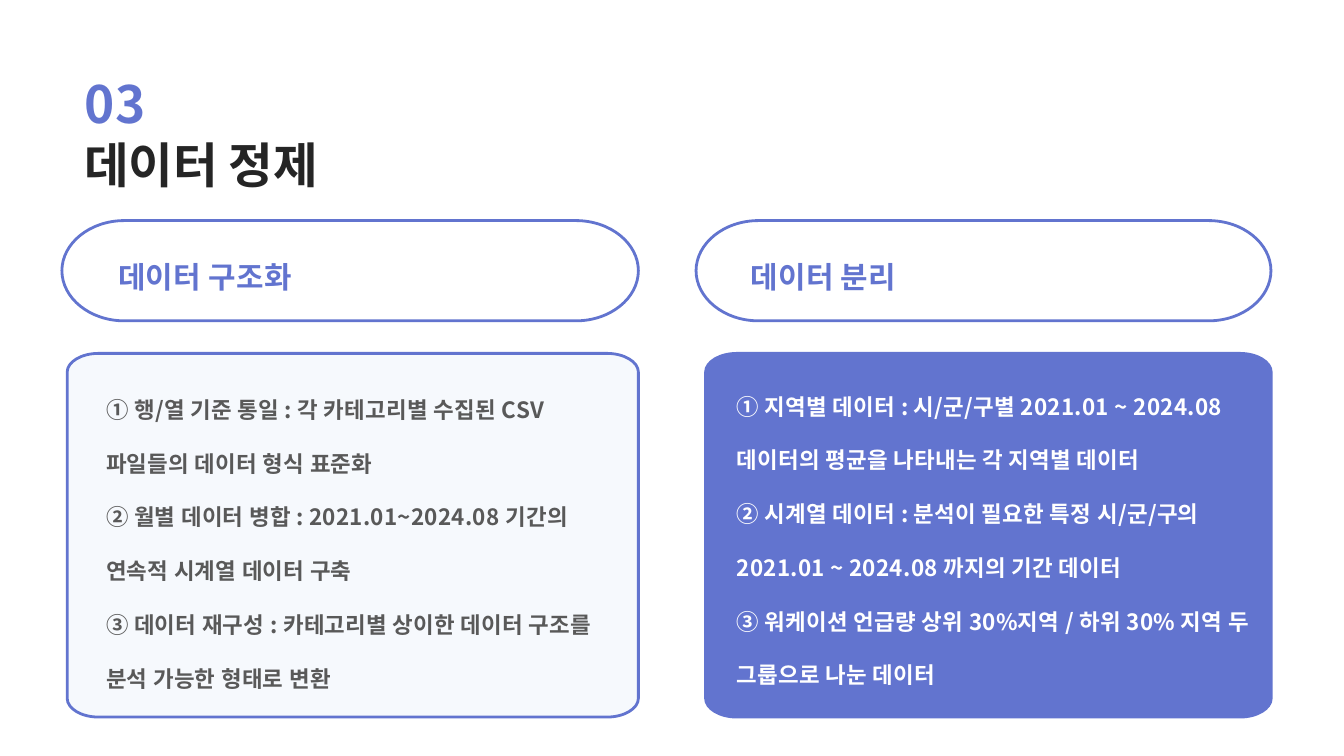
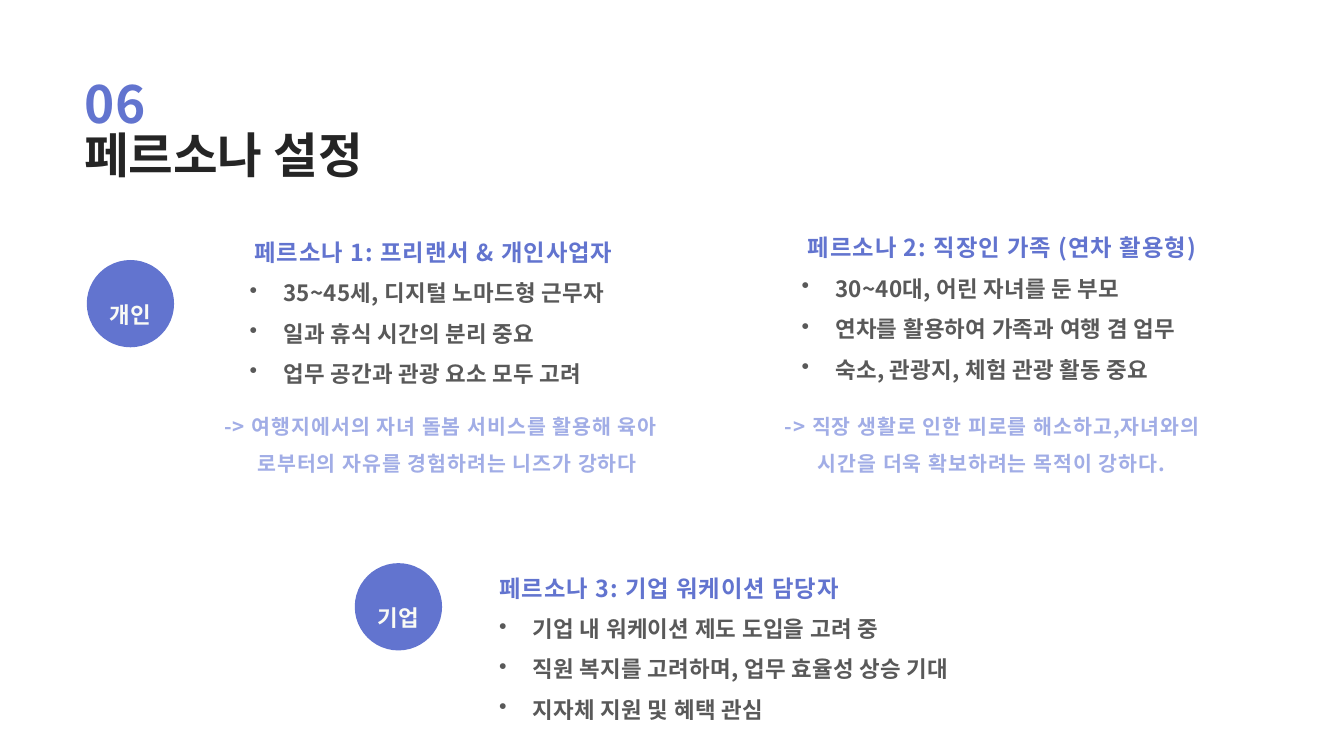
"""Build the data refinement and persona slides."""
from dataclasses import dataclass
from typing import Optional, Union

from lxml import etree
from pptx import Presentation
from pptx import slide as sl
from pptx import util as u
from pptx.dml import color as dml
from pptx.enum import shapes, text
from pptx.oxml import ns
from pptx.shapes import autoshape as auto

FONT = "Noto Sans CJK KR"
COLORS = {
    "accent": "6274CF",
    "accent_light": "A1ADE6",
    "panel": "F6F9FD",
    "title": "252525",
    "body": "595959",
    "white": "FFFFFF",
    "badge_text": "F9FAF5",
}


@dataclass(frozen=True)
class Style:
    size: int
    color: str
    tracking: float = 0
    line_spacing: Union[float, u.Pt] = 1.5


@dataclass(frozen=True)
class Line:
    content: str
    style: Style
    indent: float = 0
    bullet: bool = False
    centered: bool = False


@dataclass(frozen=True)
class Box:
    left: float
    top: float
    width: float
    height: float


@dataclass(frozen=True)
class Topic:
    heading: str
    points: tuple[str, ...]
    pill: Box
    heading_box: Box
    panel: Box
    points_box: Box
    fill: str
    text_color: str


@dataclass(frozen=True)
class Persona:
    heading: str
    traits: tuple[str, ...]
    box: Box
    heading_indent: float = 0


@dataclass(frozen=True)
class Need:
    lines: tuple[str, str]
    box: Box


@dataclass(frozen=True)
class Badge:
    label: str
    left: float
    top: float


NUMBER = Style(55, "accent", 1.3, u.Pt(110))
TOPIC_HEADING = Style(32, "accent", 0.3, u.Pt(64))
PERSONA_HEADING = Style(25, "accent", 1.1)
TRAIT = Style(24, "body", 0.3)
NEED = Style(22, "accent_light", 1.1)
BADGE = Style(24, "badge_text", 1.1, u.Pt(70))

BULLET_INDENT = 1.27
NEED_INDENT = 1.25
BADGE_SIZE = 3.3
BADGE_LABEL_WIDTH = 5.72
CURVE_PULL = 0.55
PILL_TOP, PILL_HEIGHT, PILL_CORNER = 8.34, 3.79, (2.36, 1.9)
PANEL_TOP, PANEL_HEIGHT, PANEL_CORNER = 13.36, 13.75, (1.19, 0.71)

TOPICS = (
    Topic(
        "데이터 구조화",
        (
            "① 행/열 기준 통일 : 각 카테고리별 수집된 CSV 파일들의 데이터 형식 표준화",
            "② 월별 데이터 병합 : 2021.01~2024.08 기간의 연속적 시계열 데이터 구축",
            "③ 데이터 재구성 : 카테고리별 상이한 데이터 구조를 분석 가능한 형태로 변환",
        ),
        Box(2.34, PILL_TOP, 21.79, PILL_HEIGHT),
        Box(4.47, 8.89, 16.43, 2.03),
        Box(2.54, PANEL_TOP, 21.59, PANEL_HEIGHT),
        Box(4.01, 13.95, 19.74, 12.32),
        "panel",
        "body",
    ),
    Topic(
        "데이터 분리",
        (
            "① 지역별 데이터 : 시/군/구별 2021.01 ~ 2024.08 데이터의 평균을 나타내는 각 지역별 데이터",
            "② 시계열 데이터 : 분석이 필요한 특정 시/군/구의 2021.01 ~ 2024.08 까지의 기간 데이터",
            "③ 워케이션 언급량 상위 30%지역 / 하위 30% 지역 두 그룹으로 나눈 데이터",
        ),
        Box(26.31, PILL_TOP, 21.73, PILL_HEIGHT),
        Box(28.37, 8.89, 16.43, 2.03),
        Box(26.67, PANEL_TOP, 21.38, PANEL_HEIGHT),
        Box(27.85, 13.83, 19.43, 12.32),
        "accent",
        "white",
    ),
)

PERSONAS = (
    Persona(
        "페르소나 1: 프리랜서 & 개인사업자",
        (
            "35~45세, 디지털 노마드형 근무자",
            "일과 휴식 시간의 분리 중요",
            "업무 공간과 관광 요소 모두 고려",
        ),
        Box(9.19, 8.34, 16.76, 7.32),
        0.18,
    ),
    Persona(
        "페르소나 2: 직장인 가족 (연차 활용형)",
        (
            "30~40대, 어린 자녀를 둔 부모",
            "연차를 활용하여 가족과 여행 겸 업무",
            "숙소, 관광지, 체험 관광 활동 중요",
        ),
        Box(30.05, 8.18, 18.42, 6.53),
        0.23,
    ),
    Persona(
        "페르소나 3: 기업 워케이션 담당자",
        (
            "기업 내 워케이션 제도 도입을 고려 중",
            "직원 복지를 고려하며, 업무 효율성 상승 기대",
            "지자체 지원 및 혜택 관심",
        ),
        Box(18.62, 21.04, 18.62, 6.48),
    ),
)

NEEDS = (
    Need(
        ("-> 여행지에서의 자녀 돌봄 서비스를 활용해 육아", "로부터의 자유를 경험하려는 니즈가 강하다"),
        Box(8.23, 15.06, 18.03, 3.07),
    ),
    Need(
        ("-> 직장 생활로 인한 피로를 해소하고,자녀와의", "시간을 더욱 확보하려는 목적이 강하다."),
        Box(29.41, 15.06, 17.78, 3.07),
    ),
)

BADGES = (Badge("개인", 3.28, 9.83), Badge("기업", 13.41, 21.29))


def rgb(name: str) -> dml.RGBColor:
    return dml.RGBColor.from_string(COLORS[name])


def add_text(slide: sl.Slide, box: Box, lines: list[Line], inset: bool = False) -> None:
    shape = slide.shapes.add_textbox(
        u.Cm(box.left), u.Cm(box.top), u.Cm(box.width), u.Cm(box.height)
    )
    frame = shape.text_frame
    frame.word_wrap = True
    frame.auto_size = text.MSO_AUTO_SIZE.SHAPE_TO_FIT_TEXT
    if not inset:
        frame.margin_left = frame.margin_right = 0
        frame.margin_top = frame.margin_bottom = 0
    for index, line in enumerate(lines):
        paragraph = frame.add_paragraph() if index else frame.paragraphs[0]
        paragraph.line_spacing = line.style.line_spacing
        if line.centered:
            paragraph.alignment = text.PP_ALIGN.CENTER
        properties = paragraph._p.get_or_add_pPr()
        if line.indent:
            properties.set("marL", str(u.Cm(line.indent)))
        if line.bullet:
            properties.set("indent", str(-u.Cm(line.indent)))
            etree.SubElement(properties, ns.qn("a:buChar"), char="•")
        run = paragraph.add_run()
        run.text = line.content
        run.font.size = u.Pt(line.style.size)
        run.font.bold = True
        run.font.color.rgb = rgb(line.style.color)
        run.font.name = FONT
        run._r.get_or_add_rPr().set("spc", str(round(line.style.tracking * 100)))


def paint(shape: auto.Shape, fill: Optional[str], outline: Optional[str]) -> None:
    shape.shadow.inherit = False
    if fill:
        shape.fill.solid()
        shape.fill.fore_color.rgb = rgb(fill)
    else:
        shape.fill.background()
    if outline:
        shape.line.color.rgb = rgb(outline)
        shape.line.width = u.Pt(3)
    else:
        shape.line.fill.background()


def curve_corners(shape: auto.Shape) -> None:
    width, height = shape.width, shape.height
    corners = ((width, height), (0, height), (0, 0), (width, 0))
    cuts = list(shape.element.iter(ns.qn("a:lnTo")))[::2]
    for cut, (corner_x, corner_y) in zip(cuts, corners):
        start, end = cut.getprevious()[-1], cut[-1]
        curve = etree.Element(ns.qn("a:cubicBezTo"))
        for point in (start, end):
            x, y = int(point.get("x")), int(point.get("y"))
            control = etree.SubElement(curve, ns.qn("a:pt"))
            control.set("x", str(round(x + CURVE_PULL * (corner_x - x))))
            control.set("y", str(round(y + CURVE_PULL * (corner_y - y))))
        cut.getparent().replace(cut, curve)
        curve.append(end)


def add_rounded(
    slide: sl.Slide, box: Box, corner: tuple[float, float], fill: Optional[str] = None
) -> None:
    radius_x, radius_y = corner
    left, top = box.left, box.top
    right, bottom = left + box.width, top + box.height
    outline = (
        (right, bottom - radius_y), (right - radius_x, bottom),
        (left + radius_x, bottom), (left, bottom - radius_y),
        (left, top + radius_y), (left + radius_x, top),
        (right - radius_x, top), (right, top + radius_y),
    )
    points = [(u.Cm(x), u.Cm(y)) for x, y in outline]
    builder = slide.shapes.build_freeform(*points[0])
    builder.add_line_segments(points[1:], close=True)
    shape = builder.convert_to_shape()
    curve_corners(shape)
    paint(shape, fill, "accent")


def add_title(
    slide: sl.Slide, number: str, title: str, line_spacing: Union[float, u.Pt]
) -> None:
    style = Style(52, "title", line_spacing=line_spacing)
    add_text(slide, Box(3.18, 1.17, 3.89, 3.48), [Line(number, NUMBER)])
    add_text(slide, Box(3.18, 3.63, 32.89, 3.3), [Line(title, style)])


def add_topic(slide: sl.Slide, topic: Topic) -> None:
    style = Style(24, topic.text_color, 0.3, 2.0)
    add_rounded(slide, topic.panel, PANEL_CORNER, topic.fill)
    add_rounded(slide, topic.pill, PILL_CORNER)
    add_text(slide, topic.heading_box, [Line(topic.heading, TOPIC_HEADING)])
    add_text(slide, topic.points_box, [Line(point, style) for point in topic.points])


def add_persona(slide: sl.Slide, persona: Persona) -> None:
    heading = Line(persona.heading, PERSONA_HEADING, persona.heading_indent)
    traits = [Line(trait, TRAIT, BULLET_INDENT, bullet=True) for trait in persona.traits]
    add_text(slide, persona.box, [heading, *traits], inset=True)


def add_need(slide: sl.Slide, need: Need) -> None:
    first, second = need.lines
    lines = [Line(first, NEED), Line(second, NEED, NEED_INDENT)]
    add_text(slide, need.box, lines, inset=True)


def add_badge(slide: sl.Slide, badge: Badge) -> None:
    size = u.Cm(BADGE_SIZE)
    circle = slide.shapes.add_shape(
        shapes.MSO_SHAPE.OVAL, u.Cm(badge.left), u.Cm(badge.top), size, size
    )
    paint(circle, "accent", None)
    label_left = badge.left + (BADGE_SIZE - BADGE_LABEL_WIDTH) / 2
    label_box = Box(label_left, badge.top + 0.1, BADGE_LABEL_WIDTH, 2.18)
    add_text(slide, label_box, [Line(badge.label, BADGE, centered=True)])


def main() -> None:
    presentation = Presentation()
    presentation.slide_width, presentation.slide_height = u.Cm(50.8), u.Cm(28.58)
    blank = presentation.slide_layouts[6]

    refinement = presentation.slides.add_slide(blank)
    add_title(refinement, "03", "데이터 정제", u.Pt(104))
    for topic in TOPICS:
        add_topic(refinement, topic)

    personas = presentation.slides.add_slide(blank)
    add_title(personas, "06", "페르소나 설정", 1.5)
    for persona in PERSONAS:
        add_persona(personas, persona)
    for need in NEEDS:
        add_need(personas, need)
    for badge in BADGES:
        add_badge(personas, badge)

    presentation.save("out.pptx")


if __name__ == "__main__":
    main()
